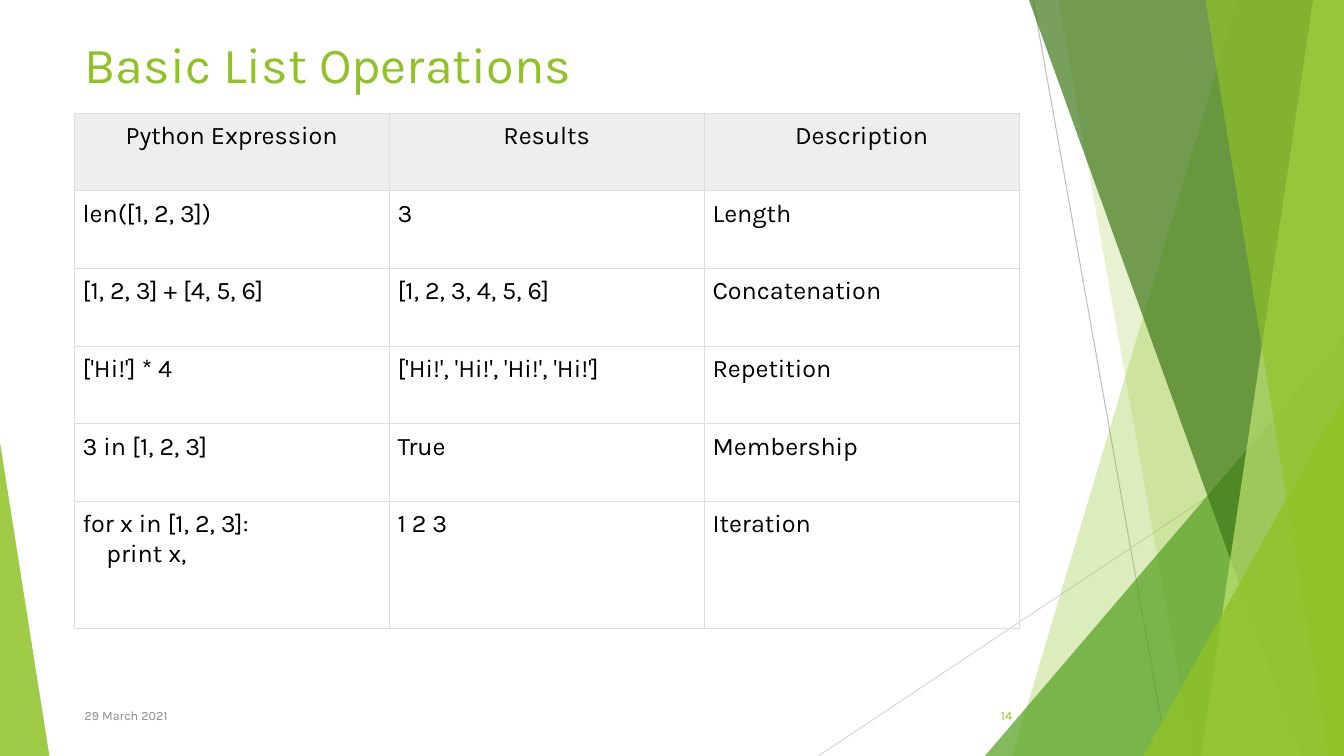
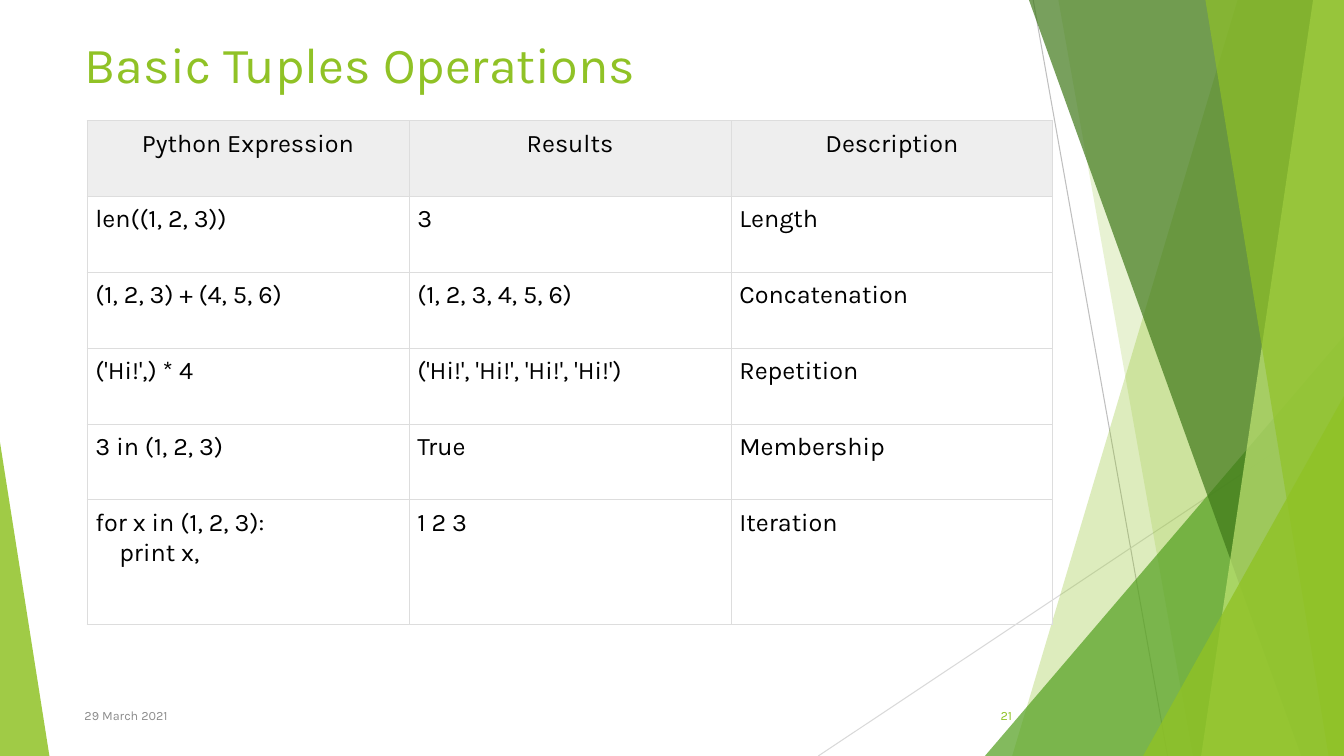
"""Build two slides that tabulate basic list and tuple operations."""
from dataclasses import dataclass

from lxml import etree
from pptx import Presentation
from pptx import util as u
from pptx.dml.color import RGBColor
from pptx.dml.fill import FillFormat
from pptx.enum import shapes, text
from pptx.oxml import ns
from pptx.slide import Slide
from pptx.text.text import TextFrame

WIDTH, HEIGHT = 960, 540
FONT = "Karla"
GREEN, LEAF, FOREST, LIME = "90C226", "54A021", "3F7819", "C0E474"
BLACK, GREY, RULE, HEADER = "000000", "8C8C8C", "DDDDDD", "EEEEEE"
LEFT, CENTER, RIGHT = text.PP_ALIGN.LEFT, text.PP_ALIGN.CENTER, text.PP_ALIGN.RIGHT
TOP, MIDDLE = text.MSO_ANCHOR.TOP, text.MSO_ANCHOR.MIDDLE
MARGIN, CODE_INDENT = 53.3, 17


@dataclass(frozen=True)
class Ray:
    x1: float
    y1: float
    x2: float
    y2: float
    color: str


@dataclass(frozen=True)
class Band:
    top_x: float
    bottom_x: float
    color: str
    alpha: int


@dataclass(frozen=True)
class Wedge:
    left: float
    top: float
    width: float
    apex: int
    color: str
    alpha: int


@dataclass(frozen=True)
class Style:
    size: float
    color: str
    align: text.PP_ALIGN = LEFT


@dataclass(frozen=True)
class Grid:
    left: float
    top: float
    col: float
    row: float
    last_row: float


@dataclass(frozen=True)
class Page:
    title: str
    number: str
    opening: str
    closing: str
    single: str
    grid: Grid


RAYS = [Ray(738, 0, 834, 540, "BFBFBF"), Ray(960, 290, 584.5, 540, "D9D9D9")]
FACETS = [
    Band(884, 723, GREEN, 30),
    Band(756, 852, GREEN, 20),
    Wedge(703.5, 240, 256.5, 1, LEAF, 72),
    Band(735, 929.5, FOREST, 70),
    Band(938, 858, LIME, 70),
    Band(861, 949, GREEN, 65),
    Wedge(816.5, 283, 143.5, 1, GREEN, 80),
    Wedge(0, 316, 35.3, 0, GREEN, 85),
]
PAGES = [
    Page("Basic List Operations", "14", "[", "]", "['Hi!']",
         Grid(53, 80.7, 225, 55.5, 90.5)),
    Page("Basic Tuples Operations", "21", "(", ")", "('Hi!',)",
         Grid(62.2, 86.1, 230, 54.2, 89)),
]
TITLE = Style(36, GREEN)
DATE = Style(9, GREY)
NUMBER = Style(9, GREEN, RIGHT)
HEAD_CELL = Style(18, BLACK, CENTER)
BODY_CELL = Style(18, BLACK)


def rgb(value: str) -> RGBColor:
    return RGBColor.from_string(value)


def paint(fill: FillFormat, color: str) -> None:
    fill.solid()
    fill.fore_color.rgb = rgb(color)


def write(tf: TextFrame, content: str, style: Style) -> None:
    for i, line in enumerate(content.split("\n")):
        p = tf.add_paragraph() if i else tf.paragraphs[0]
        p.alignment = style.align
        if i:
            p._p.get_or_add_pPr().set("marL", str(u.Pt(CODE_INDENT)))
        r = p.add_run()
        r.text = line
        for name, value in {"name": FONT, "size": u.Pt(style.size)}.items():
            setattr(r.font, name, value)
        r.font.color.rgb = rgb(style.color)


def set_frame(tf: TextFrame, anchor: text.MSO_ANCHOR) -> None:
    frame = {"word_wrap": True, "auto_size": text.MSO_AUTO_SIZE.NONE,
             "vertical_anchor": anchor}
    for name, value in frame.items():
        setattr(tf, name, value)


def add_ray(s: Slide, ray: Ray) -> None:
    ends = [u.Pt(v) for v in (ray.x1, ray.y1, ray.x2, ray.y2)]
    line = s.shapes.add_connector(shapes.MSO_CONNECTOR.STRAIGHT, *ends)
    line.line.width = u.Pt(0.75)
    line.line.color.rgb = rgb(ray.color)
    etree.SubElement(line._element.spPr, ns.qn("a:effectLst"))


def add_facet(s: Slide, facet: Band | Wedge) -> None:
    if isinstance(facet, Band):
        outline = s.shapes.build_freeform(u.Pt(facet.top_x), 0)
        corners = [(WIDTH, 0), (WIDTH, HEIGHT), (facet.bottom_x, HEIGHT)]
        outline.add_line_segments([(u.Pt(x), u.Pt(y)) for x, y in corners])
        sp = outline.convert_to_shape()
    else:
        box = (facet.left, facet.top, facet.width, HEIGHT - facet.top)
        sp = s.shapes.add_shape(shapes.MSO_SHAPE.ISOSCELES_TRIANGLE,
                                *[u.Pt(v) for v in box])
        sp.adjustments[0] = facet.apex
    sp.shadow.inherit = False
    sp.line.fill.background()
    paint(sp.fill, facet.color)
    color = sp._element.spPr.find(ns.qn("a:solidFill"))[0]
    etree.SubElement(color, ns.qn("a:alpha"), val=str(facet.alpha * 1000))


def add_title(s: Slide, content: str) -> None:
    sp = s.shapes.title
    box = {"left": MARGIN, "top": 20.2, "width": 676.7, "height": 52.5}
    for name, value in box.items():
        setattr(sp, name, u.Pt(value))
    set_frame(sp.text_frame, TOP)
    write(sp.text_frame, content, TITLE)


def add_footer(s: Slide, left: float, width: float, content: str, style: Style) -> None:
    sp = s.shapes.add_textbox(u.Pt(left), u.Pt(497), u.Pt(width), u.Pt(28.8))
    set_frame(sp.text_frame, MIDDLE)
    write(sp.text_frame, content, style)


def operations(page: Page) -> list[tuple[str, str, str]]:
    def seq(items: str) -> str:
        return f"{page.opening}{items}{page.closing}"

    numbers = seq("1, 2, 3")
    return [
        ("Python Expression", "Results", "Description"),
        (f"len({numbers})", "3", "Length"),
        (f"{numbers} + {seq('4, 5, 6')}", seq("1, 2, 3, 4, 5, 6"), "Concatenation"),
        (f"{page.single} * 4", seq(", ".join(["'Hi!'"] * 4)), "Repetition"),
        (f"3 in {numbers}", "True", "Membership"),
        (f"for x in {numbers}:\nprint x,", "1 2 3", "Iteration"),
    ]


def add_grid(s: Slide, grid: Grid, rows: list[tuple[str, str, str]]) -> None:
    heights = [grid.row] * (len(rows) - 1) + [grid.last_row]
    cols = len(rows[0])
    box = (grid.left, grid.top, grid.col * cols, sum(heights))
    table = s.shapes.add_table(len(rows), cols, *[u.Pt(v) for v in box]).table
    table.first_row = table.horz_banding = False
    for column in table.columns:
        column.width = u.Pt(grid.col)
    for i, (values, height) in enumerate(zip(rows, heights)):
        table.rows[i].height = u.Pt(height)
        for j, value in enumerate(values):
            cell = table.cell(i, j)
            for side in ("left", "right", "top", "bottom"):
                setattr(cell, f"margin_{side}", u.Pt(6))
            tc_pr = cell._tc.get_or_add_tcPr()
            for edge in "LRTB":
                ln = etree.SubElement(tc_pr, ns.qn(f"a:ln{edge}"), w=str(u.Pt(0.75)))
                fill = etree.SubElement(ln, ns.qn("a:solidFill"))
                etree.SubElement(fill, ns.qn("a:srgbClr"), val=RULE)
            if i == 0:
                paint(cell.fill, HEADER)
            else:
                cell.fill.background()
            write(cell.text_frame, value, BODY_CELL if i else HEAD_CELL)


def main() -> None:
    prs = Presentation()
    prs.slide_width, prs.slide_height = u.Pt(WIDTH), u.Pt(HEIGHT)
    for page in PAGES:
        s = prs.slides.add_slide(prs.slide_layouts[5])
        for ray in RAYS:
            add_ray(s, ray)
        for facet in FACETS:
            add_facet(s, facet)
        add_title(s, page.title)
        add_footer(s, 676, 54, page.number, NUMBER)
        add_footer(s, MARGIN, 496, "29 March 2021", DATE)
        add_grid(s, page.grid, operations(page))
    prs.save("out.pptx")


main()
